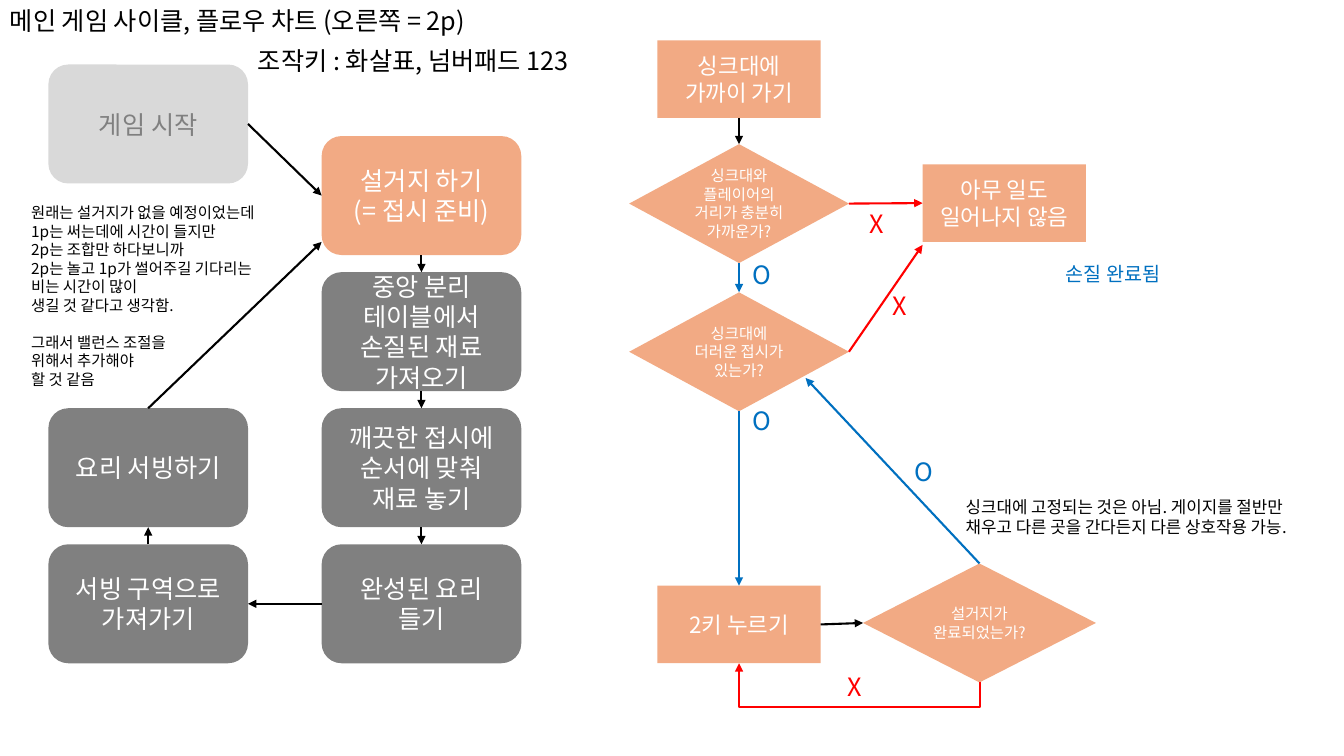
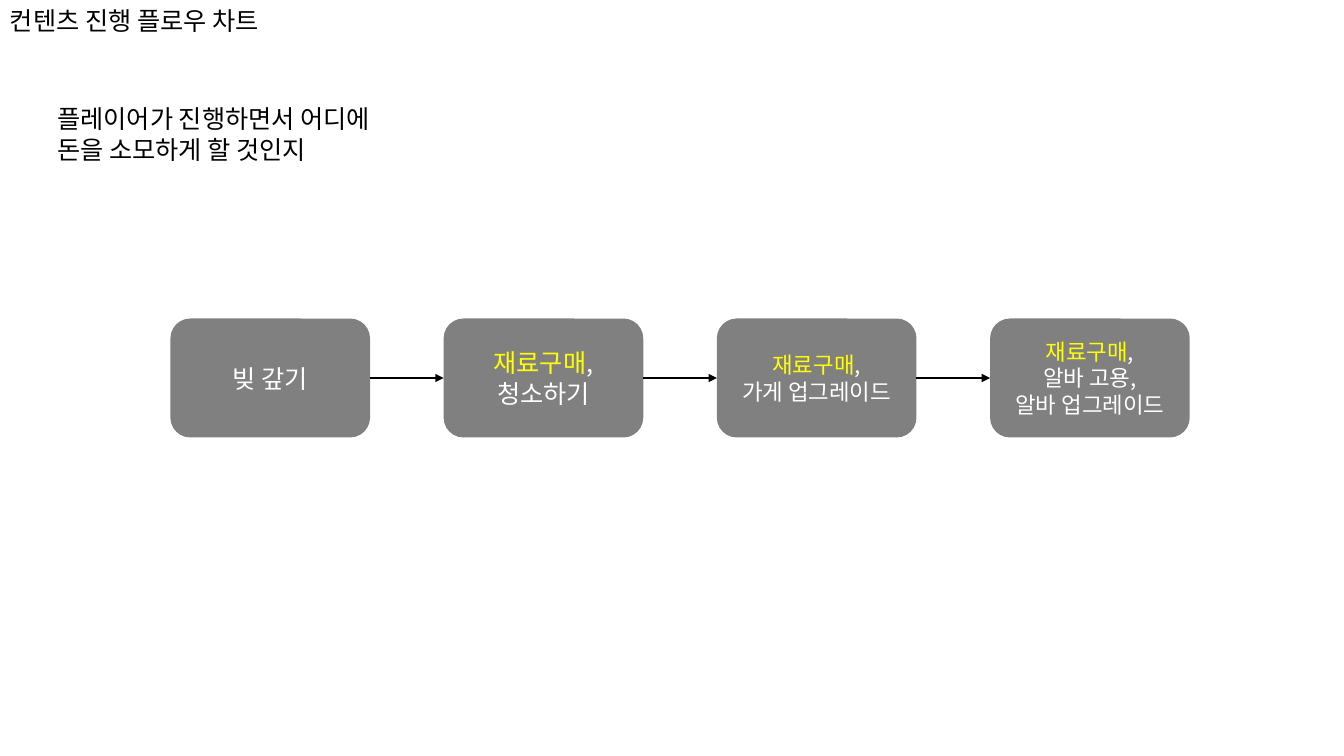
"""Build two flow chart slides for a cooking game: the main cycle and the content progress."""
from dataclasses import dataclass
from enum import IntEnum
from typing import Optional, Union

from pptx import Presentation
from pptx import util as u
from pptx.dml.color import RGBColor
from pptx.enum import shapes, text
from pptx.oxml import ns
from pptx.oxml import xmlchemy as xml


@dataclass(frozen=True)
class Theme:
    font: str = "Noto Sans CJK KR"
    black: str = "000000"
    white: str = "FFFFFF"
    gray: str = "808080"
    pale: str = "D9D9D9"
    peach: str = "F2AA84"
    red: str = "FF0000"
    blue: str = "0070C0"
    yellow: str = "FFFF00"
    large: int = 18
    medium: int = 16
    caption: int = 14
    remark: int = 12
    small: int = 11
    stroke: float = 1.5


THEME = Theme()
Shape = shapes.MSO_SHAPE
CARD_WIDTH, CARD_HEIGHT = 1.98, 1.18
COLUMN_STEP, ROW_STEP = 2.71, 1.35


class Side(IntEnum):
    TOP = 0
    LEFT = 1
    BOTTOM = 2
    RIGHT = 3


@dataclass(frozen=True)
class Node:
    name: str
    left: float
    top: float
    lines: tuple[str, ...]
    width: float = CARD_WIDTH
    height: float = CARD_HEIGHT
    shape: Shape = Shape.ROUNDED_RECTANGLE
    fill: str = THEME.gray
    color: str = THEME.white
    size: int = THEME.large
    accent: str = ""


@dataclass(frozen=True)
class Label:
    left: float
    top: float
    width: float
    height: float
    lines: tuple[str, ...]
    size: int = THEME.large
    color: str = THEME.black
    gap_line: Optional[int] = None


Target = Union[tuple[str, Side], tuple[float, float]]


@dataclass(frozen=True)
class Link:
    start: tuple[str, Side]
    end: Target
    color: str = THEME.black


def cycle_card(name: str, column: int, row: int, *lines: str,
               fill: str = THEME.gray) -> Node:
    """Place a card on the grid of the main cycle."""
    return Node(name, 0.48 + COLUMN_STEP * column, 1.35 + ROW_STEP * row, lines, fill=fill)


def step(name: str, left: float, top: float, *lines: str) -> Node:
    """Describe an action rectangle."""
    return Node(name, left, top, lines, 1.62, 0.77, Shape.RECTANGLE,
                THEME.peach, size=THEME.medium)


def question(name: str, left: float, top: float, *lines: str, width: float = 2.18) -> Node:
    """Describe a decision diamond."""
    return Node(name, left, top, lines, width, shape=Shape.DIAMOND,
                fill=THEME.peach, size=THEME.small)


def mark(letter: str, left: float, top: float) -> Label:
    """Describe a yes or no mark beside an arrow."""
    color = THEME.blue if letter == "O" else THEME.red
    return Label(left, top, 0.5, 0.4, (letter,), color=color)


def write_lines(frame, lines: tuple[str, ...], size: int, color: str,
                align: text.PP_ALIGN, accent: str = "") -> None:
    """Fill a text frame with one paragraph per line."""
    frame.word_wrap = True
    for index, line in enumerate(lines):
        para = frame.paragraphs[0] if index == 0 else frame.add_paragraph()
        para.alignment = align
        if accent and line.startswith(accent):
            span = para.add_run()
            span.text = accent
            span.font.color.rgb = RGBColor.from_string(THEME.yellow)
            line = line[len(accent):]
        para.add_run().text = line
        para.font.size = u.Pt(size)
        para.font.color.rgb = RGBColor.from_string(color)
        para.font.name = THEME.font
        defaults = para._p.pPr.find(ns.qn("a:defRPr"))
        east_asian = xml.OxmlElement("a:ea")
        east_asian.set("typeface", THEME.font)
        defaults.append(east_asian)


def draw_node(page, node: Node):
    """Draw a filled shape with centred text."""
    box = page.shapes.add_shape(node.shape, u.Inches(node.left), u.Inches(node.top),
                                u.Inches(node.width), u.Inches(node.height))
    box.shadow.inherit = False
    box.fill.solid()
    box.fill.fore_color.rgb = RGBColor.from_string(node.fill)
    box.line.fill.background()
    box.text_frame.vertical_anchor = text.MSO_ANCHOR.MIDDLE
    write_lines(box.text_frame, node.lines, node.size, node.color,
                text.PP_ALIGN.CENTER, node.accent)
    return box


def draw_label(page, label: Label) -> None:
    """Draw a free text box."""
    box = page.shapes.add_textbox(u.Inches(label.left), u.Inches(label.top),
                                  u.Inches(label.width), u.Inches(label.height))
    write_lines(box.text_frame, label.lines, label.size, label.color, text.PP_ALIGN.LEFT)
    box.text_frame.auto_size = text.MSO_AUTO_SIZE.SHAPE_TO_FIT_TEXT
    if label.gap_line is not None:
        box.text_frame.paragraphs[label.gap_line].space_before = u.Pt(label.size * 1.2)


def style_arrow(arrow, color: str) -> None:
    """Give a connector its stroke and arrowhead."""
    arrow.line.color.rgb = RGBColor.from_string(color)
    arrow.line.width = u.Pt(THEME.stroke)
    head = xml.OxmlElement("a:tailEnd")
    head.set("type", "triangle")
    arrow.line._get_or_add_ln().append(head)
    arrow._element.spPr.append(xml.OxmlElement("a:effectLst"))


def draw_link(page, boxes: dict, link: Link) -> None:
    """Draw a straight arrow from a node to a node or a point."""
    arrow = page.shapes.add_connector(shapes.MSO_CONNECTOR.STRAIGHT, 0, 0, 0, 0)
    name, side = link.start
    target, place = link.end
    if isinstance(target, str):
        arrow.end_connect(boxes[target], place)
    else:
        arrow.end_x, arrow.end_y = u.Inches(target), u.Inches(place)
    arrow.begin_connect(boxes[name], side)
    style_arrow(arrow, link.color)


def draw_return(page, start: tuple[float, float], end: tuple[float, float],
                bottom: float, color: str) -> None:
    """Draw an arrow that drops to a level, runs left and rises to its end."""
    span, rise = start[0] - end[0], start[1] - end[1]
    middle_x, middle_y = (start[0] + end[0]) / 2, (start[1] + end[1]) / 2
    left, top = middle_x - rise / 2, middle_y - span / 2
    arrow = page.shapes.add_connector(
        shapes.MSO_CONNECTOR.ELBOW, u.Inches(left + rise), u.Inches(top),
        u.Inches(left), u.Inches(top + span))
    properties = arrow._element.spPr
    properties.find(ns.qn("a:xfrm")).set("rot", "5400000")
    geometry = properties.find(ns.qn("a:prstGeom"))
    guides = geometry.find(ns.qn("a:avLst"))
    if guides is None:
        guides = xml.OxmlElement("a:avLst")
        geometry.append(guides)
    guide = xml.OxmlElement("a:gd")
    guide.set("name", "adj1")
    guide.set("fmla", f"val {round((start[1] - bottom) / rise * 100000)}")
    guides.append(guide)
    style_arrow(arrow, color)


def add_page(deck, nodes: list[Node], links: list[Link], labels: list[Label]):
    """Add a blank slide and draw its chart."""
    page = deck.slides.add_slide(deck.slide_layouts[6])
    boxes = {node.name: draw_node(page, node) for node in nodes}
    for link in links:
        draw_link(page, boxes, link)
    for label in labels:
        draw_label(page, label)
    return page


def add_game_cycle(deck) -> None:
    """Add the main game cycle with the dish washing detail."""
    nodes = [
        Node("start", 0.48, 0.64, ("게임 시작",), fill=THEME.pale, color=THEME.gray),
        cycle_card("wash", 1, 0, "설거지 하기", "(= 접시 준비)", fill=THEME.peach),
        cycle_card("fetch", 1, 1, "중앙 분리", "테이블에서", "손질된 재료", "가져오기"),
        cycle_card("plate", 1, 2, "깨끗한 접시에", "순서에 맞춰 재료 놓기"),
        cycle_card("lift", 1, 3, "완성된 요리", "들기"),
        cycle_card("carry", 0, 3, "서빙 구역으로", "가져가기"),
        cycle_card("serve", 0, 2, "요리 서빙하기"),
        step("approach", 6.52, 0.4, "싱크대에", "가까이 가기"),
        question("near", 6.24, 1.43, "싱크대와", "플레이어의", "거리가 충분히 가까운가?"),
        step("nothing", 9.15, 1.63, "아무 일도", "일어나지 않음"),
        question("dirty", 6.24, 2.9, "싱크대에", "더러운 접시가 있는가?"),
        step("press", 6.52, 5.81, "2키 누르기"),
        question("done", 8.56, 5.59, "설거지가", "완료되었는가?", width=2.31),
    ]
    links = [
        Link(("start", Side.RIGHT), ("wash", Side.LEFT)),
        *(Link((upper, Side.BOTTOM), (lower, Side.TOP))
          for upper, lower in (("wash", "fetch"), ("fetch", "plate"),
                               ("plate", "lift"), ("approach", "near"))),
        Link(("lift", Side.LEFT), ("carry", Side.RIGHT)),
        Link(("carry", Side.TOP), ("serve", Side.BOTTOM)),
        Link(("serve", Side.TOP), (3.19, 2.4)),
        Link(("near", Side.RIGHT), ("nothing", Side.LEFT), THEME.red),
        Link(("dirty", Side.RIGHT), (9.15, 2.43), THEME.red),
        Link(("near", Side.BOTTOM), ("dirty", Side.TOP), THEME.blue),
        Link(("dirty", Side.BOTTOM), ("press", Side.TOP), THEME.blue),
        Link(("press", Side.RIGHT), ("done", Side.LEFT)),
        Link(("done", Side.TOP), (7.99, 3.75), THEME.blue),
    ]
    labels = [
        Label(0, 0, 5.77, 0.4, ("메인 게임 사이클, 플로우 차트 (오른쪽 = 2p)",)),
        Label(2.46, 0.4, 3.61, 0.4, ("조작키 : 화살표, 넘버패드 123",)),
        Label(0.21, 1.97, 3.98, 1.95, (
            "원래는 설거지가 없을 예정이었는데", "1p는 써는데에 시간이 들지만",
            "2p는 조합만 하다보니까", "2p는 놀고 1p가 썰어주길 기다리는",
            "비는 시간이 많이", "생길 것 같다고 생각함.",
            "그래서 밸런스 조절을", "위해서 추가해야", "할 것 같음",
        ), THEME.small, gap_line=6),
        mark("X", 8.75, 2.83), mark("X", 8.53, 2.02), mark("X", 8.31, 6.61),
        mark("O", 7.37, 2.52), mark("O", 7.37, 3.97), mark("O", 8.97, 4.48),
        Label(10.47, 2.55, 1.53, 0.34, ("손질 완료됨",), THEME.caption, THEME.blue),
        Label(9.48, 4.88, 3.76, 0.5, (
            "싱크대에 고정되는 것은 아님. 게이지를 절반만",
            "채우고 다른 곳을 간다든지 다른 상호작용 가능.",
        ), THEME.remark),
    ]
    page = add_page(deck, nodes, links, labels)
    draw_return(page, (9.72, 6.77), (7.33, 6.58), 7.01, THEME.red)


def add_content_progress(deck) -> None:
    """Add the row of stages on which players spend money."""
    purchase = "재료구매"
    stages = [
        (("빚 갚기",), THEME.large),
        ((f"{purchase},", "청소하기"), THEME.large),
        ((f"{purchase},", "가게 업그레이드"), THEME.medium),
        ((f"{purchase},", "알바 고용,", "알바 업그레이드"), THEME.medium),
    ]
    nodes = [Node(f"stage {index}", 1.69 + COLUMN_STEP * index, 3.16, lines,
                  size=size, accent=purchase)
             for index, (lines, size) in enumerate(stages)]
    links = [Link((before.name, Side.RIGHT), (after.name, Side.LEFT))
             for before, after in zip(nodes, nodes[1:])]
    labels = [
        Label(0, 0, 3.67, 0.4, ("컨텐츠 진행 플로우 차트",)),
        Label(0.47, 0.98, 3.67, 0.71, ("플레이어가 진행하면서 어디에 돈을 소모하게 할 것인지",)),
    ]
    add_page(deck, nodes, links, labels)


def main() -> None:
    """Build and save the deck."""
    deck = Presentation()
    deck.slide_width, deck.slide_height = u.Inches(13.33), u.Inches(7.5)
    add_game_cycle(deck)
    add_content_progress(deck)
    deck.save("out.pptx")


if __name__ == "__main__":
    main()
